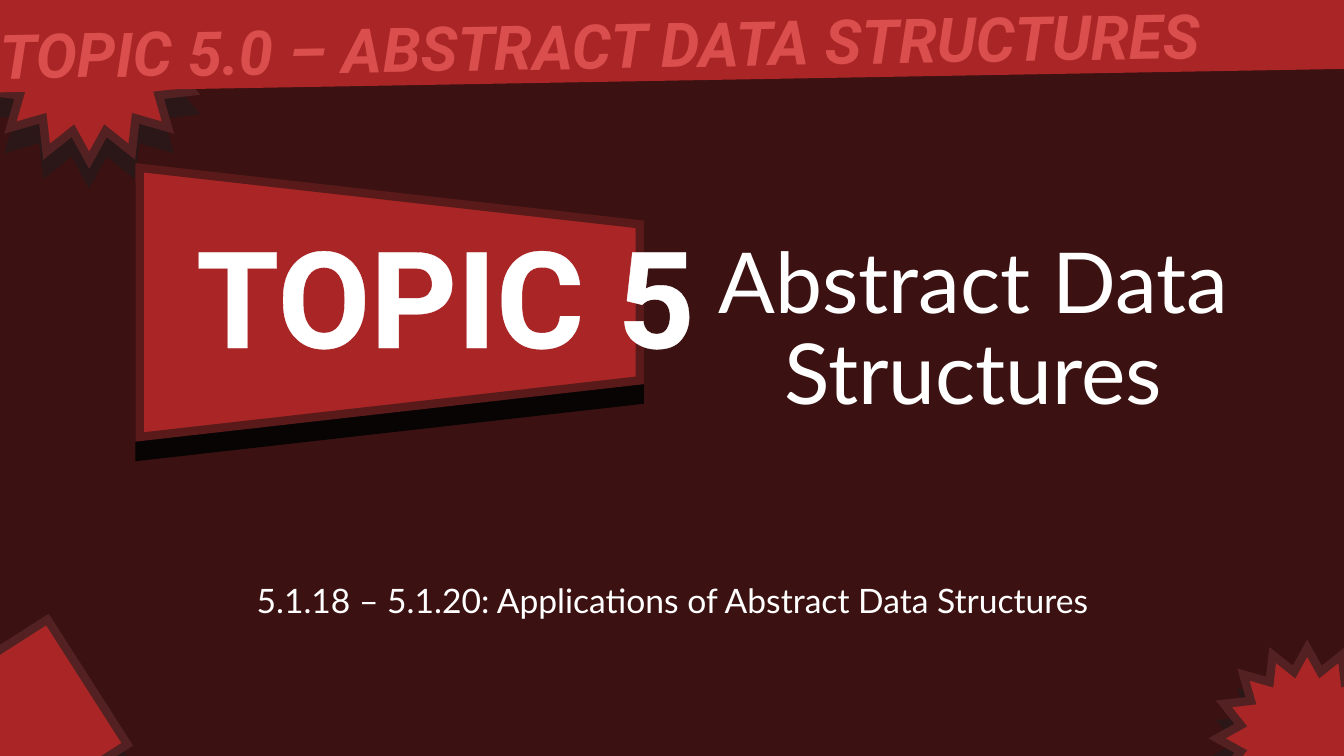
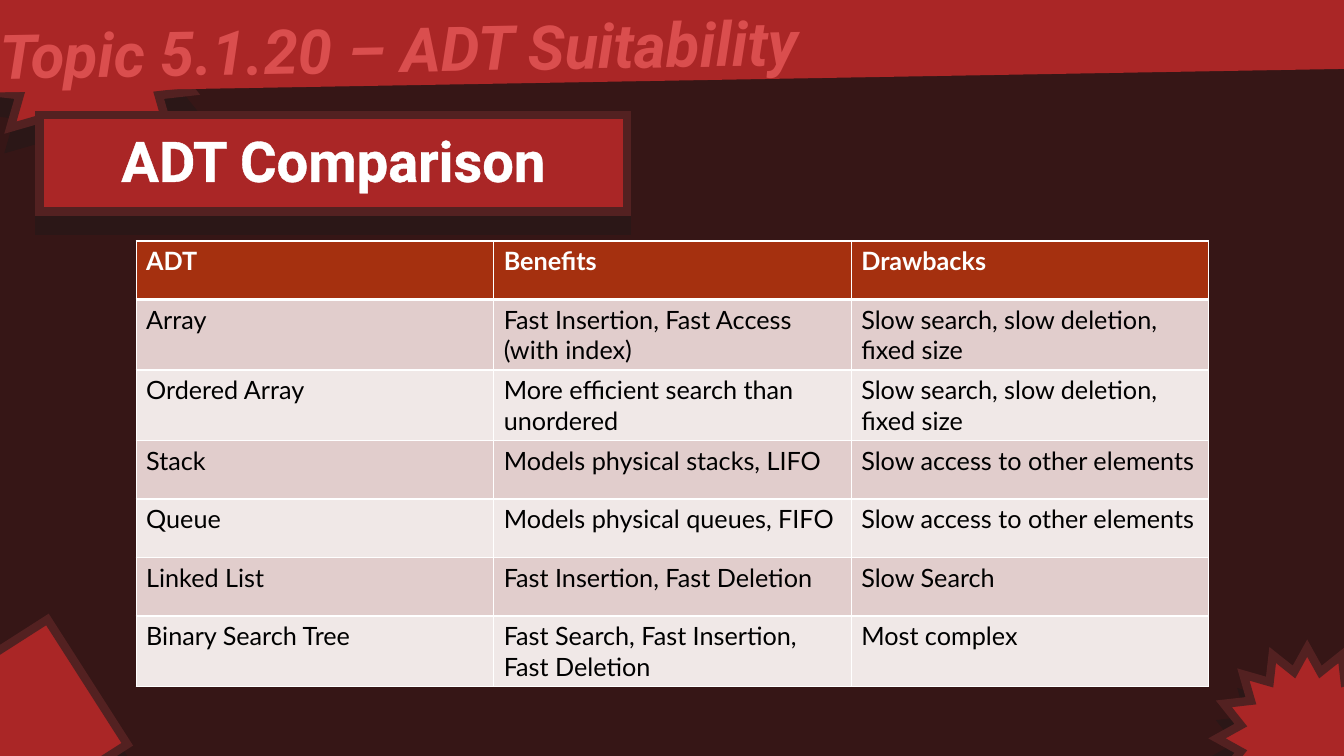
"""Build two slides on abstract data structures, sharing one banner and one set of red ornaments."""
from dataclasses import dataclass

from lxml import etree
from pptx import Presentation
from pptx.dml.color import RGBColor
from pptx.enum import shapes, text
from pptx.oxml import ns
from pptx.shapes.autoshape import Shape
from pptx.slide import Slide
from pptx.table import _Cell
from pptx.text.text import _Paragraph
from pptx.util import Inches, Pt

RED = RGBColor(0xAA, 0x26, 0x26)
BANNER_TEXT = RGBColor(0xDA, 0x4E, 0x4E)
WHITE = RGBColor(0xFF, 0xFF, 0xFF)
BLACK = RGBColor(0x00, 0x00, 0x00)
EDGE = RGBColor(0x53, 0x21, 0x21)
SHADOW = RGBColor(0x2B, 0x17, 0x17)
PLAQUE_EDGE = RGBColor(0x5A, 0x1A, 0x1A)
PLAQUE_SHADOW = RGBColor(0x08, 0x04, 0x04)
TITLE_GROUND = RGBColor(0x3B, 0x11, 0x11)
TABLE_GROUND = RGBColor(0x36, 0x16, 0x16)
TABLE_HEAD = RGBColor(0xA5, 0x30, 0x0F)
ROW_BANDS = (RGBColor(0xF0, 0xE8, 0xE7), RGBColor(0xE1, 0xCD, 0xCC))

HEADING_FONT = "Roboto"
BODY_FONT = "Lato"
BANNER_TILT = 359
KIND = shapes.MSO_SHAPE
CENTER = text.PP_ALIGN.CENTER
LEFT = text.PP_ALIGN.LEFT


@dataclass(frozen=True)
class Box:
    """A place on the slide, in inches, with a rotation in degrees."""

    left: float
    top: float
    width: float
    height: float
    rotation: float = 0

    def lengths(self) -> tuple[Inches, ...]:
        """Return left, top, width and height as lengths."""
        return tuple(Inches(value) for value in (self.left, self.top, self.width, self.height))


@dataclass(frozen=True)
class Panel:
    """A red preset shape, with an edge and a hard shadow unless edge is None."""

    kind: shapes.MSO_SHAPE
    box: Box
    edge: RGBColor | None = EDGE
    shadow: RGBColor = SHADOW


@dataclass(frozen=True)
class Style:
    """The look of a line of text; outline is a width in points."""

    size: float
    font: str = BODY_FONT
    color: RGBColor = WHITE
    bold: bool = False
    italic: bool = False
    outline: float = 0
    align: text.PP_ALIGN = CENTER
    spacing: float = 1


ORNAMENTS = (
    Panel(KIND.STAR_16_POINT, Box(-0.22, -0.62, 2.21, 2.21)),
    Panel(KIND.RECTANGLE, Box(-0.57, 6.45, 1.56, 1.47, 327.4)),
    Panel(KIND.STAR_16_POINT, Box(12.07, 6.43, 1.79, 1.79)),
)
BANNER = Panel(KIND.RECTANGLE, Box(-0.22, -0.68, 13.86, 1.48, BANNER_TILT), edge=None)
BANNER_STYLE = Style(44, HEADING_FONT, BANNER_TEXT, True, True, 1.5, LEFT)

COMPARISON = (
    ("ADT", "Benefits", "Drawbacks"),
    ("Array", "Fast Insertion, Fast Access (with index)", "Slow search, slow deletion, fixed size"),
    ("Ordered Array", "More efficient search than unordered", "Slow search, slow deletion, fixed size"),
    ("Stack", "Models physical stacks, LIFO", "Slow access to other elements"),
    ("Queue", "Models physical queues, FIFO", "Slow access to other elements"),
    ("Linked List", "Fast Insertion, Fast Deletion", "Slow Search"),
    ("Binary Search Tree", "Fast Search, Fast Insertion, Fast Deletion", "Most complex"),
)


def solid_line(tag: str, color: RGBColor, width: float) -> etree._Element:
    """Return a line element of the given tag, filled with one colour."""
    line = etree.Element(ns.qn(tag), w=str(int(Pt(width))))
    fill = etree.SubElement(line, ns.qn("a:solidFill"))
    etree.SubElement(fill, ns.qn("a:srgbClr"), val=str(color))
    return line


def add_hard_shadow(shape: Shape, color: RGBColor) -> None:
    """Drop a sharp shadow straight below the shape."""
    effects = shape._element.spPr.find(ns.qn("a:effectLst"))
    shadow = etree.SubElement(
        effects, ns.qn("a:outerShdw"), dist=str(int(Pt(14))), dir="5400000", algn="t", rotWithShape="0"
    )
    etree.SubElement(shadow, ns.qn("a:srgbClr"), val=str(color))


def add_panel(slide: Slide, panel: Panel) -> Shape:
    """Draw one red panel."""
    shape = slide.shapes.add_shape(panel.kind, *panel.box.lengths())
    shape.rotation = panel.box.rotation
    shape.shadow.inherit = False
    shape.fill.solid()
    shape.fill.fore_color.rgb = RED
    if panel.edge is None:
        shape.line.fill.background()
        return shape
    shape.line.color.rgb = panel.edge
    shape.line.width = Pt(6)
    etree.SubElement(shape.line._ln, ns.qn("a:miter"), lim="800000")
    add_hard_shadow(shape, panel.shadow)
    return shape


def style_paragraph(paragraph: _Paragraph, style: Style) -> None:
    """Apply a text style to a whole paragraph."""
    paragraph.alignment = style.align
    paragraph.line_spacing = style.spacing
    font = paragraph.font
    font.name = style.font
    font.size = Pt(style.size)
    font.bold = style.bold
    font.italic = style.italic
    font.color.rgb = style.color
    if style.outline:
        defaults = paragraph._p.pPr.find(ns.qn("a:defRPr"))
        defaults.insert(0, solid_line("a:ln", style.color, style.outline))


def add_text(
    slide: Slide, box: Box, words: str, style: Style, anchor: text.MSO_ANCHOR = text.MSO_ANCHOR.TOP
) -> None:
    """Write one paragraph in a wrapping text box."""
    shape = slide.shapes.add_textbox(*box.lengths())
    shape.rotation = box.rotation
    frame = shape.text_frame
    frame.word_wrap = True
    frame.vertical_anchor = anchor
    frame.text = words
    style_paragraph(frame.paragraphs[0], style)


def add_themed_slide(presentation: Presentation, ground: RGBColor, banner: str) -> Slide:
    """Add a blank slide with its background, ornaments and banner."""
    slide = presentation.slides.add_slide(presentation.slide_layouts[6])
    slide.background.fill.solid()
    slide.background.fill.fore_color.rgb = ground
    for panel in (*ORNAMENTS, BANNER):
        add_panel(slide, panel)
    add_text(slide, Box(-0.1, -0.01, 15.87, 0.84, BANNER_TILT), banner, BANNER_STYLE)
    return slide


def style_cell(cell: _Cell, row: int) -> None:
    """Colour a table cell, its borders and its text by its row."""
    header = row == 0
    cell.fill.solid()
    cell.fill.fore_color.rgb = TABLE_HEAD if header else ROW_BANDS[row % 2]
    widths = {"a:lnL": 1, "a:lnR": 1, "a:lnT": 3 if row == 1 else 1, "a:lnB": 3 if header else 1}
    properties = cell._tc.get_or_add_tcPr()
    for position, (tag, width) in enumerate(widths.items()):
        properties.insert(position, solid_line(tag, WHITE, width))
    style = Style(18, color=WHITE if header else BLACK, bold=header, align=LEFT)
    style_paragraph(cell.text_frame.paragraphs[0], style)


def add_comparison_table(slide: Slide) -> None:
    """Draw the comparison table."""
    row_height = 0.58
    box = Box(1.35, 2.39, 10.64, row_height * len(COMPARISON))
    table = slide.shapes.add_table(len(COMPARISON), len(COMPARISON[0]), *box.lengths()).table
    for row, entries in enumerate(COMPARISON):
        table.rows[row].height = Inches(row_height)
        for column, entry in enumerate(entries):
            cell = table.cell(row, column)
            cell.text = entry
            style_cell(cell, row)


def build_title_slide(presentation: Presentation) -> None:
    """Build the topic title slide."""
    slide = add_themed_slide(presentation, TITLE_GROUND, "TOPIC 5.0 – ABSTRACT DATA STRUCTURES")
    add_text(
        slide,
        Box(6.48, 1.15, 6.35, 3.09),
        "Abstract Data Structures",
        Style(60, spacing=0.9),
        text.MSO_ANCHOR.BOTTOM,
    )
    add_text(
        slide,
        Box(1.67, 5.75, 10, 0.78),
        "5.1.18 – 5.1.20: Applications of Abstract Data Structures",
        Style(24, spacing=0.9),
    )
    plaque = Panel(KIND.TRAPEZOID, Box(2.53, 0.52, 2.67, 4.96, 90), PLAQUE_EDGE, PLAQUE_SHADOW)
    add_panel(slide, plaque).adjustments[0] = 0.21
    add_text(slide, Box(0.87, 2.07, 7.1, 1.72), "TOPIC 5", Style(96, HEADING_FONT, bold=True, outline=3))


def build_comparison_slide(presentation: Presentation) -> None:
    """Build the slide that compares the data types."""
    slide = add_themed_slide(presentation, TABLE_GROUND, "Topic 5.1.20 – ADT Suitability")
    add_panel(slide, Panel(KIND.RECTANGLE, Box(0.39, 1.14, 5.83, 0.96)))
    heading = Style(40, HEADING_FONT, bold=True, outline=1.5)
    add_text(slide, Box(0.45, 1.2, 5.71, 0.77), "ADT Comparison", heading)
    add_comparison_table(slide)


def main() -> None:
    """Build and save the presentation."""
    presentation = Presentation()
    presentation.slide_width = Inches(13.33)
    presentation.slide_height = Inches(7.5)
    build_title_slide(presentation)
    build_comparison_slide(presentation)
    presentation.save("out.pptx")


if __name__ == "__main__":
    main()
